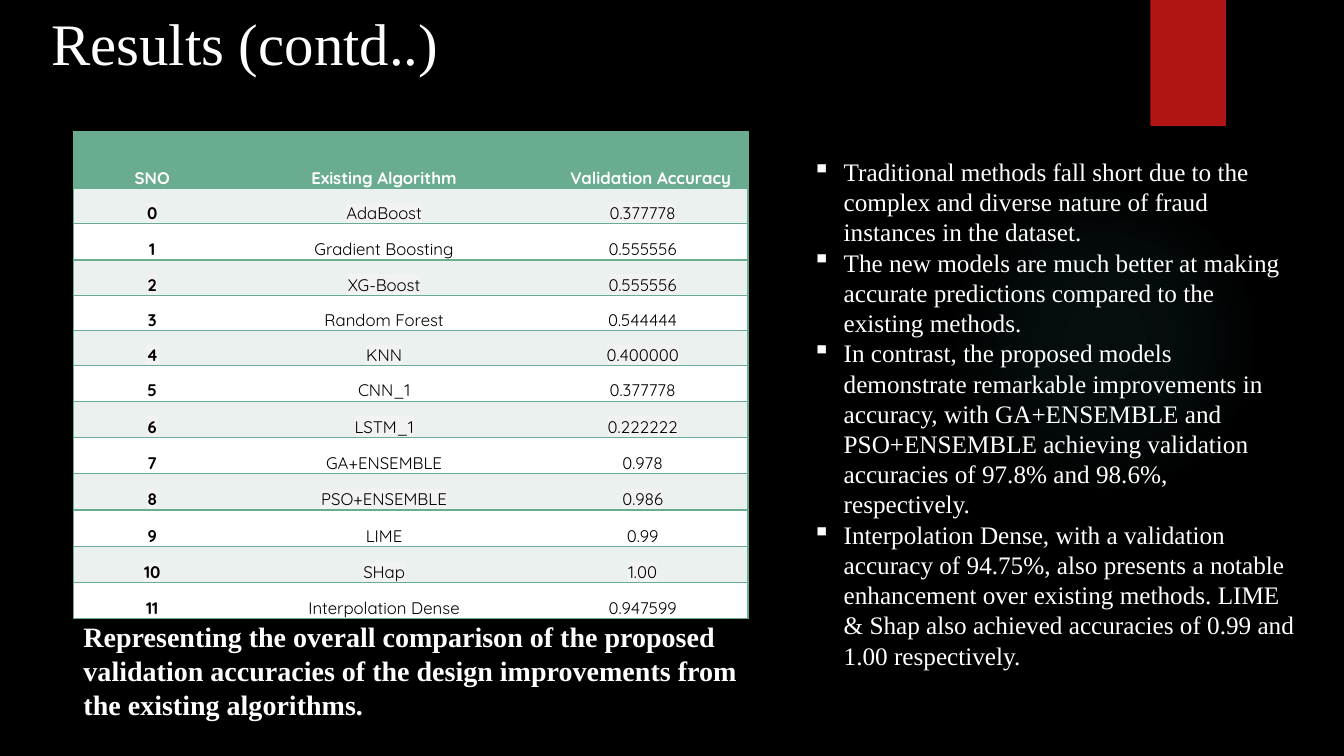
from dataclasses import dataclass

from lxml import etree
from pptx import Presentation
from pptx.dml.color import RGBColor
from pptx.enum import shapes, text
from pptx.oxml import ns, parse_xml
from pptx.util import Inches, Pt

SERIF, ROUNDED = "Times New Roman", "Quicksand"
WHITE, BLACK, GREEN, PALE, RED = "FFFFFF", "000000", "6AAC90", "EBF1EE", "B01513"
HIGHLIGHT, GLOW = "F2F2F2", "50B9C1"


@dataclass
class TextBlock:
    left: float
    top: float
    width: float
    height: float
    size: float
    paragraphs: list[str]
    bold: bool = False
    bulleted: bool = False
    anchor: text.MSO_ANCHOR = text.MSO_ANCHOR.TOP


@dataclass
class Result:
    algorithm: str
    accuracy: str


BLOCKS = [
    TextBlock(0.41, 0, 5.68, 0.83, 42, ["Results (contd..)"], anchor=text.MSO_ANCHOR.MIDDLE),
    TextBlock(0.73, 6.1, 6.83, 1.84, 20, [
        "Representing the overall comparison of the proposed validation accuracies "
        "of the design improvements from the existing algorithms.",
    ], bold=True),
    TextBlock(7.96, 1.5, 4.99, 6.46, 18, [
        "Traditional methods fall short due to the complex and diverse nature of fraud "
        "instances in the dataset.",
        "The new models are much better at making accurate predictions compared to the "
        "existing methods.",
        "In contrast, the proposed models demonstrate remarkable improvements in accuracy, "
        "with GA+ENSEMBLE and PSO+ENSEMBLE achieving validation accuracies of 97.8% and "
        "98.6%, respectively.",
        "Interpolation Dense, with a validation accuracy of 94.75%, also presents a notable "
        "enhancement over existing methods. LIME & Shap also achieved accuracies of 0.99 "
        "and 1.00 respectively.",
    ], bulleted=True),
]

HEADINGS = ["SNO", "Existing Algorithm", "Validation Accuracy"]
RESULTS = [
    Result("AdaBoost", "0.377778"),
    Result("Gradient Boosting", "0.555556"),
    Result("XG-Boost", "0.555556"),
    Result("Random Forest", "0.544444"),
    Result("KNN", "0.400000"),
    Result("CNN_1", "0.377778"),
    Result("LSTM_1", "0.222222"),
    Result("GA+ENSEMBLE", "0.978"),
    Result("PSO+ENSEMBLE", "0.986"),
    Result("LIME", "0.99"),
    Result("SHap", "1.00"),
    Result("Interpolation Dense", "0.947599"),
]
COLUMN_WIDTHS = [1.56, 3.04, 2.09]
ROW_HEIGHTS = [0.56, 0.35, 0.36] + [0.35] * 4 + [0.36] * 6


def rgb(value: str) -> RGBColor:
    return RGBColor.from_string(value)


def add_run(para, words: str, size: float, font: str, color: str, bold: bool = False):
    span = para.add_run()
    span.text = words
    span.font.size, span.font.name, span.font.bold = Pt(size), font, bold
    span.font.color.rgb = rgb(color)
    return span


def highlight(span, color: str) -> None:
    fill = span.font._element.find(ns.qn("a:solidFill"))
    mark = etree.Element(ns.qn("a:highlight"))
    etree.SubElement(mark, ns.qn("a:srgbClr"), val=color)
    fill.addnext(mark)


def add_bullet(para) -> None:
    properties = para._p.get_or_add_pPr()
    properties.set("marL", str(Inches(0.31)))
    properties.set("indent", str(-Inches(0.31)))
    etree.SubElement(properties, ns.qn("a:buChar"), char="▪")


def add_text(page, block: TextBlock) -> None:
    box = page.shapes.add_textbox(Inches(block.left), Inches(block.top),
                                  Inches(block.width), Inches(block.height))
    frame = box.text_frame
    frame.word_wrap = True
    frame.vertical_anchor = block.anchor
    for index, words in enumerate(block.paragraphs):
        para = frame.add_paragraph() if index else frame.paragraphs[0]
        if block.bulleted:
            add_bullet(para)
        add_run(para, words, block.size, SERIF, WHITE, block.bold)


def add_plain_shape(page, kind, left: float, top: float, width: float, height: float):
    shape = page.shapes.add_shape(kind, Inches(left), Inches(top), Inches(width), Inches(height))
    shape.shadow.inherit = False
    shape.line.fill.background()
    return shape


def add_glow(page) -> None:
    """Draw the faint round light behind the bullet list."""
    glow = add_plain_shape(page, shapes.MSO_SHAPE.OVAL, 9.41, 1.83, 3.08, 3.08)
    stops = "".join(
        f'<a:gs pos="{place * 1000}"><a:srgbClr val="{GLOW}">'
        f'<a:alpha val="{alpha * 1000}"/></a:srgbClr></a:gs>'
        for place, alpha in [(0, 7), (36, 6), (69, 0)])
    gradient = parse_xml(
        f'<a:gradFill {ns.nsdecls("a")}><a:gsLst>{stops}</a:gsLst><a:path path="circle">'
        '<a:fillToRect l="50000" t="50000" r="50000" b="50000"/></a:path></a:gradFill>')
    glow._element.spPr.find(ns.qn("a:prstGeom")).addnext(gradient)


def set_borders(cell, column: int) -> None:
    """Rule every row, and close the table only at its outer sides."""
    properties = cell._tc.get_or_add_tcPr()
    last = len(HEADINGS) - 1
    for side, ruled in [("L", column == 0), ("R", column == last), ("T", True), ("B", True)]:
        line = etree.SubElement(properties, ns.qn(f"a:ln{side}"), w=str(Pt(1)))
        if ruled:
            fill = etree.SubElement(line, ns.qn("a:solidFill"))
            etree.SubElement(fill, ns.qn("a:srgbClr"), val=GREEN)
        else:
            etree.SubElement(line, ns.qn("a:noFill"))


def add_results_table(page) -> None:
    rows = [HEADINGS] + [[str(number), result.algorithm, result.accuracy]
                         for number, result in enumerate(RESULTS)]
    table = page.shapes.add_table(
        len(rows), len(HEADINGS), Inches(0.73), Inches(1.31),
        Inches(sum(COLUMN_WIDTHS)), Inches(sum(ROW_HEIGHTS))).table
    for column, width in enumerate(COLUMN_WIDTHS):
        table.columns[column].width = Inches(width)
    for row, values in enumerate(rows):
        table.rows[row].height = Inches(ROW_HEIGHTS[row])
        header, shaded = row == 0, row % 2 == 1
        for column, words in enumerate(values):
            cell = table.cell(row, column)
            set_borders(cell, column)
            cell.fill.solid()
            cell.fill.fore_color.rgb = rgb(GREEN if header else PALE if shaded else WHITE)
            cell.vertical_anchor = text.MSO_ANCHOR.BOTTOM
            cell.margin_left = Inches(0.23 if header and column == 2 else 0.07)
            cell.margin_right = Inches(0.07)
            cell.margin_top = cell.margin_bottom = 0
            para = cell.text_frame.paragraphs[0]
            para.alignment = text.PP_ALIGN.CENTER
            para.line_spacing = 1.07
            span = add_run(para, words, 12, ROUNDED, WHITE if header else BLACK,
                           header or column == 0)
            if shaded:
                highlight(span, HIGHLIGHT)


def main() -> None:
    deck = Presentation()
    deck.slide_width, deck.slide_height = Inches(13.33), Inches(7.5)
    page = deck.slides.add_slide(deck.slide_layouts[6])
    page.background.fill.solid()
    page.background.fill.fore_color.rgb = rgb(BLACK)
    add_glow(page)
    ribbon = add_plain_shape(page, shapes.MSO_SHAPE.RECTANGLE, 11.41, 0, 0.75, 1.25)
    ribbon.fill.solid()
    ribbon.fill.fore_color.rgb = rgb(RED)
    add_results_table(page)
    for block in BLOCKS:
        add_text(page, block)
    deck.save("out.pptx")


if __name__ == "__main__":
    main()
